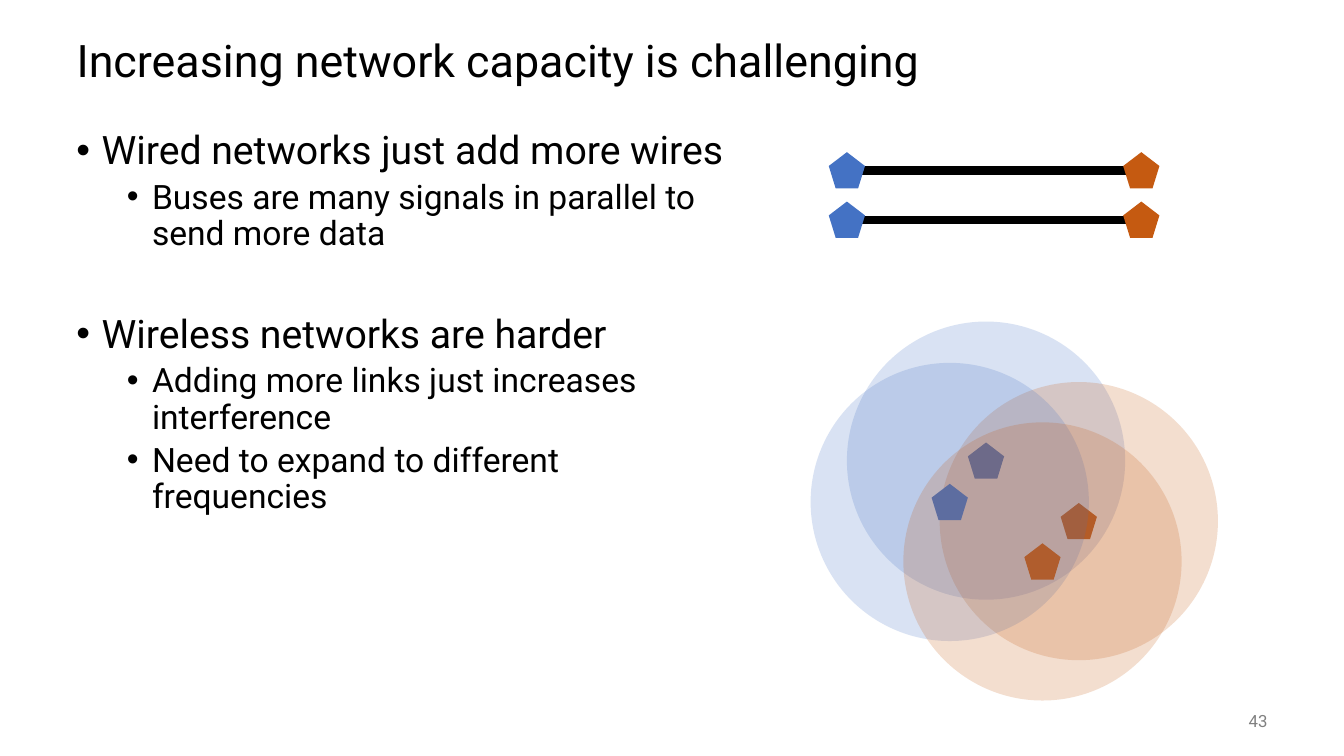
from dataclasses import dataclass

from lxml.etree import SubElement
from pptx import Presentation
from pptx.dml.color import RGBColor
from pptx.enum.shapes import MSO_CONNECTOR, MSO_SHAPE
from pptx.enum.text import MSO_ANCHOR, MSO_AUTO_SIZE, PP_ALIGN
from pptx.oxml.ns import qn
from pptx.slide import Slide
from pptx.text.text import TextFrame
from pptx.util import Inches, Pt

BLACK = RGBColor(0x00, 0x00, 0x00)
GRAY = RGBColor(0x80, 0x80, 0x80)
BLUE = RGBColor(0x44, 0x72, 0xC4)
ORANGE = RGBColor(0xC5, 0x5A, 0x11)

FONT = "Roboto"
NODE_SIZE = 0.36
RANGE_SIZE = 2.76
RANGE_OPACITY = 20
WIRE_LEFT, WIRE_RIGHT = 8.4, 11.32


@dataclass(frozen=True)
class Bullet:
    text: str
    level: int = 0
    space_before: float = 5


@dataclass(frozen=True)
class Link:
    wire_y: float
    sender: tuple[float, float]
    receiver: tuple[float, float]


BULLETS = [
    Bullet("Wired networks just add more wires", space_before=0),
    Bullet("Buses are many signals in parallel to send more data", 1),
    Bullet("Wireless networks are harder", space_before=44),
    Bullet("Adding more links just increases interference", 1),
    Bullet("Need to expand to different frequencies", 1),
]

LINKS = [
    Link(1.69, (9.78, 4.57), (10.7, 5.17)),
    Link(2.18, (9.42, 4.98), (10.34, 5.57)),
]


def write_text(frame: TextFrame, text: str, *, size: float,
               color: RGBColor = BLACK, align: PP_ALIGN = PP_ALIGN.LEFT,
               line_spacing: float = 1.0, space_before: float = 0,
               level: int = 0, bullet: bool = False) -> None:
    para = frame.paragraphs[0]
    if para.runs:
        para = frame.add_paragraph()
    para.level = level
    para.alignment = align
    para.line_spacing = line_spacing
    para.space_before = Pt(space_before)
    if bullet:
        properties = para._p.get_or_add_pPr()
        properties.set("marL", str(Inches(0.25 + 0.5 * level)))
        properties.set("indent", str(Inches(-0.25)))
        SubElement(properties, qn("a:buFont"), typeface="Arial")
        SubElement(properties, qn("a:buChar"), char="•")
    span = para.add_run()
    span.text = text
    span.font.name = FONT
    span.font.size = Pt(size)
    span.font.color.rgb = color


def add_frame(page: Slide, left: float, top: float, width: float, height: float,
              anchor: MSO_ANCHOR = MSO_ANCHOR.TOP) -> TextFrame:
    box = page.shapes.add_textbox(Inches(left), Inches(top), Inches(width), Inches(height))
    box.text_frame.word_wrap = True
    box.text_frame.vertical_anchor = anchor
    return box.text_frame


def add_centered(page: Slide, kind: MSO_SHAPE, center: tuple[float, float],
                 size: float, color: RGBColor, opacity: int = 100) -> None:
    left, top = (Inches(middle - size / 2) for middle in center)
    shape = page.shapes.add_shape(kind, left, top, Inches(size), Inches(size))
    shape.shadow.inherit = False
    shape.fill.solid()
    shape.fill.fore_color.rgb = color
    shape.line.fill.background()
    if opacity < 100:
        fill_color = shape._element.spPr.find(qn("a:solidFill"))[0]
        SubElement(fill_color, qn("a:alpha"), val=str(opacity * 1000))


def add_wire(page: Slide, y: float) -> None:
    wire = page.shapes.add_connector(MSO_CONNECTOR.STRAIGHT, Inches(WIRE_LEFT),
                                     Inches(y), Inches(WIRE_RIGHT), Inches(y))
    wire.line.color.rgb = BLACK
    wire.line.width = Pt(6)
    SubElement(wire._element.spPr, qn("a:effectLst"))


def add_link(page: Slide, link: Link) -> None:
    add_wire(page, link.wire_y)
    ends = [(WIRE_LEFT, link.sender, BLUE), (WIRE_RIGHT, link.receiver, ORANGE)]
    for wire_x, antenna, color in ends:
        add_centered(page, MSO_SHAPE.REGULAR_PENTAGON, (wire_x, link.wire_y), NODE_SIZE, color)
        add_centered(page, MSO_SHAPE.REGULAR_PENTAGON, antenna, NODE_SIZE, color)
    for _, antenna, color in ends:
        add_centered(page, MSO_SHAPE.OVAL, antenna, RANGE_SIZE, color, RANGE_OPACITY)


def add_title(page: Slide, text: str) -> None:
    title = page.shapes.title
    title.left, title.top = Inches(0.66), Inches(0.25)
    title.width, title.height = Inches(12), Inches(0.75)
    title.text_frame.auto_size = MSO_AUTO_SIZE.NONE
    title.text_frame.vertical_anchor = MSO_ANCHOR.MIDDLE
    write_text(title.text_frame, text, size=32, line_spacing=0.9)


def main() -> None:
    deck = Presentation()
    deck.slide_width, deck.slide_height = Inches(13.33), Inches(7.5)
    page = deck.slides.add_slide(deck.slide_layouts.get_by_name("Title Only"))
    add_title(page, "Increasing network capacity is challenging")

    body = add_frame(page, 0.66, 1.25, 6.8, 5.5)
    for bullet in BULLETS:
        write_text(body, bullet.text, size=28 - 4 * bullet.level, line_spacing=0.9,
                   space_before=bullet.space_before, level=bullet.level, bullet=True)

    number = add_frame(page, 11.67, 6.95, 1, 0.4, MSO_ANCHOR.MIDDLE)
    write_text(number, "43", size=12, color=GRAY, align=PP_ALIGN.RIGHT)

    for link in LINKS:
        add_link(page, link)
    deck.save("out.pptx")


if __name__ == "__main__":
    main()
